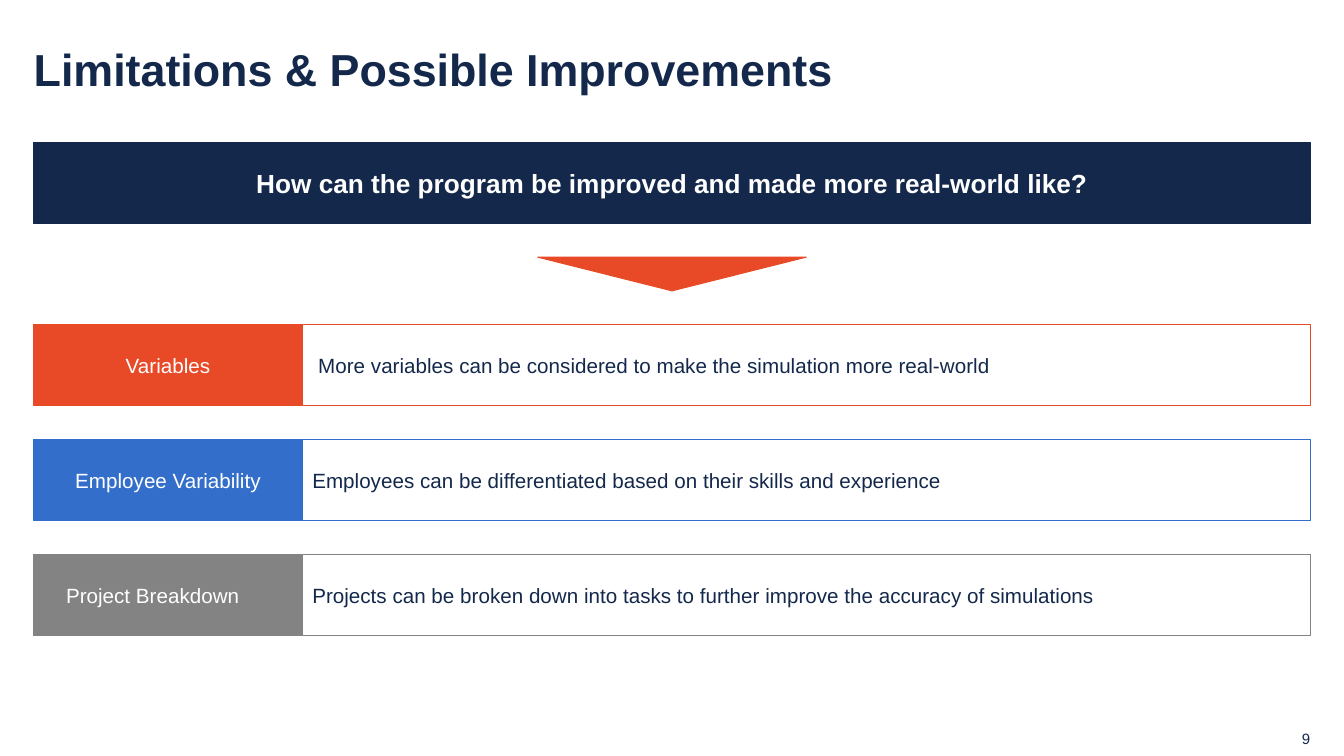
import pptx
import pptx.util
import pptx.dml.color
import pptx.enum.shapes
import pptx.enum.text

Cm = pptx.util.Cm
SHAPES = pptx.enum.shapes.MSO_SHAPE
ALIGN = pptx.enum.text.PP_ALIGN

TITLE = "Limitations & Possible Improvements"
QUESTION = "How can the program be improved and made more real-world like?"
IMPROVEMENTS = [
    {"label": "Variables", "color": "orange", "detail_inset": 0.4,
     "detail": "More variables can be considered to make the simulation more real-world"},
    {"label": "Employee Variability", "color": "blue",
     "detail": "Employees can be differentiated based on their skills and experience"},
    {"label": "Project Breakdown", "color": "gray", "label_inset": 1.02,
     "detail": "Projects can be broken down into tasks to further improve the accuracy of simulations"},
]
PAGE_NUMBER = "9"

THEME = {
    "font": "Arial",
    "colors": {"navy": "13284B", "orange": "E84927", "blue": "336FCA",
               "gray": "838383", "white": "FFFFFF"},
    "sizes": {"title": 32, "question": 18.7, "row": 14.7, "page": 10.7},
}

SLIDE_WIDTH, SLIDE_HEIGHT = 33.87, 19.05
MARGIN = 0.85
CONTENT_WIDTH = SLIDE_WIDTH - 2 * MARGIN
BAR_HEIGHT = 2.03
QUESTION_TOP = 3.6
LABEL_WIDTH = 6.77
ARROW_HEIGHT = 0.85
ARROW_TOP = QUESTION_TOP + BAR_HEIGHT + MARGIN
ROWS_TOP = ARROW_TOP + ARROW_HEIGHT + MARGIN
ROW_STEP = 2.9
INSET = 0.25


def color(name):
    return pptx.dml.color.RGBColor.from_string(THEME["colors"][name])


def set_all(target, values):
    for name, value in values.items():
        setattr(target, name, value)


def write(shape, text, size, color_name, align, bold=False, left=0, right=0):
    frame = shape.text_frame
    set_all(frame, {
        "word_wrap": True,
        "auto_size": pptx.enum.text.MSO_AUTO_SIZE.NONE,
        "vertical_anchor": pptx.enum.text.MSO_ANCHOR.MIDDLE,
        "margin_left": Cm(left), "margin_right": Cm(right),
        "margin_top": 0, "margin_bottom": 0,
    })
    paragraph = frame.paragraphs[0]
    paragraph.alignment = align
    run = paragraph.add_run()
    run.text = text
    set_all(run.font, {"name": THEME["font"], "bold": bold,
                       "size": pptx.util.Pt(THEME["sizes"][size])})
    run.font.color.rgb = color(color_name)


def add_block(slide, kind, left, top, width, height, fill, line):
    shape = slide.shapes.add_shape(kind, Cm(left), Cm(top), Cm(width), Cm(height))
    shape.shadow.inherit = False
    shape.fill.solid()
    shape.fill.fore_color.rgb = color(fill)
    shape.line.color.rgb = color(line)
    shape.line.width = pptx.util.Pt(0.75)
    return shape


def add_title(slide):
    title = slide.shapes.title
    set_all(title, {"left": Cm(MARGIN), "top": Cm(0.79),
                    "width": Cm(CONTENT_WIDTH), "height": Cm(BAR_HEIGHT)})
    write(title, TITLE, "title", "navy", ALIGN.LEFT, bold=True)
    title.text_frame.paragraphs[0].line_spacing = 0.9


def add_question(slide):
    bar = add_block(slide, SHAPES.RECTANGLE, MARGIN, QUESTION_TOP,
                    CONTENT_WIDTH, BAR_HEIGHT, "navy", "navy")
    write(bar, QUESTION, "question", "white", ALIGN.CENTER, True, INSET, INSET)


def add_arrow(slide):
    left = (SLIDE_WIDTH - ARROW_HEIGHT) / 2
    top = ARROW_TOP + (ARROW_HEIGHT - LABEL_WIDTH) / 2
    arrow = add_block(slide, SHAPES.PENTAGON, left, top,
                      ARROW_HEIGHT, LABEL_WIDTH, "orange", "orange")
    arrow.rotation = 90
    arrow.adjustments[0] = 1


def add_improvement(slide, index, item):
    top = ROWS_TOP + index * ROW_STEP
    label = add_block(slide, SHAPES.RECTANGLE, MARGIN, top,
                      LABEL_WIDTH, BAR_HEIGHT, item["color"], item["color"])
    write(label, item["label"], "row", "white", ALIGN.CENTER,
          left=INSET, right=item.get("label_inset", INSET))
    detail = add_block(slide, SHAPES.RECTANGLE, MARGIN + LABEL_WIDTH, top,
                       CONTENT_WIDTH - LABEL_WIDTH, BAR_HEIGHT, "white", item["color"])
    write(detail, item["detail"], "row", "navy", ALIGN.LEFT,
          left=item.get("detail_inset", INSET), right=INSET)


def add_page_number(slide):
    width = 7.62
    box = slide.shapes.add_textbox(Cm(SLIDE_WIDTH - MARGIN - width), Cm(18.26),
                                   Cm(width), Cm(0.69))
    write(box, PAGE_NUMBER, "page", "navy", ALIGN.RIGHT)


def main():
    presentation = pptx.Presentation()
    set_all(presentation, {"slide_width": Cm(SLIDE_WIDTH), "slide_height": Cm(SLIDE_HEIGHT)})
    slide = presentation.slides.add_slide(presentation.slide_layouts[5])
    add_title(slide)
    add_question(slide)
    add_arrow(slide)
    for index, item in enumerate(IMPROVEMENTS):
        add_improvement(slide, index, item)
    add_page_number(slide)
    presentation.save("out.pptx")


if __name__ == "__main__":
    main()
